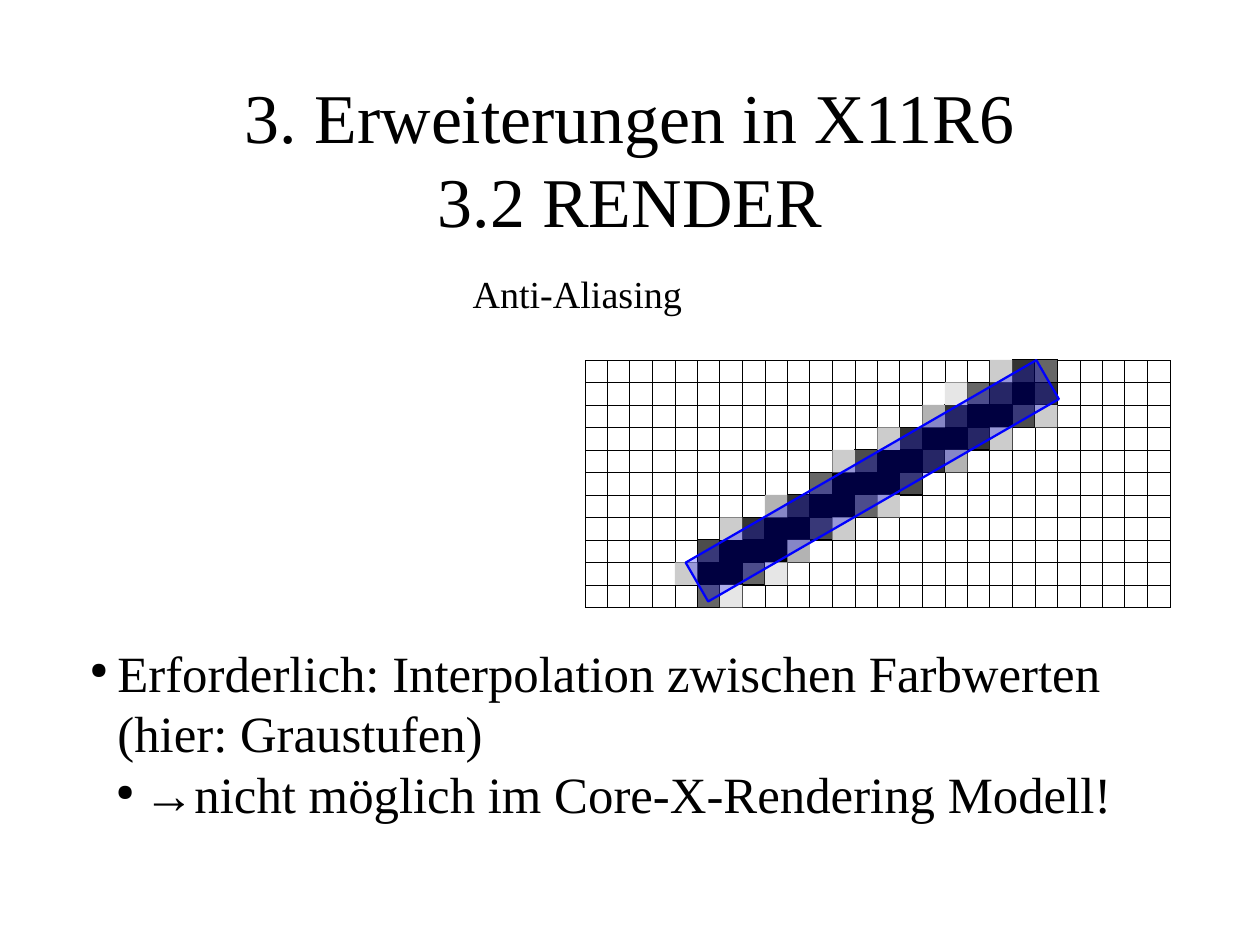
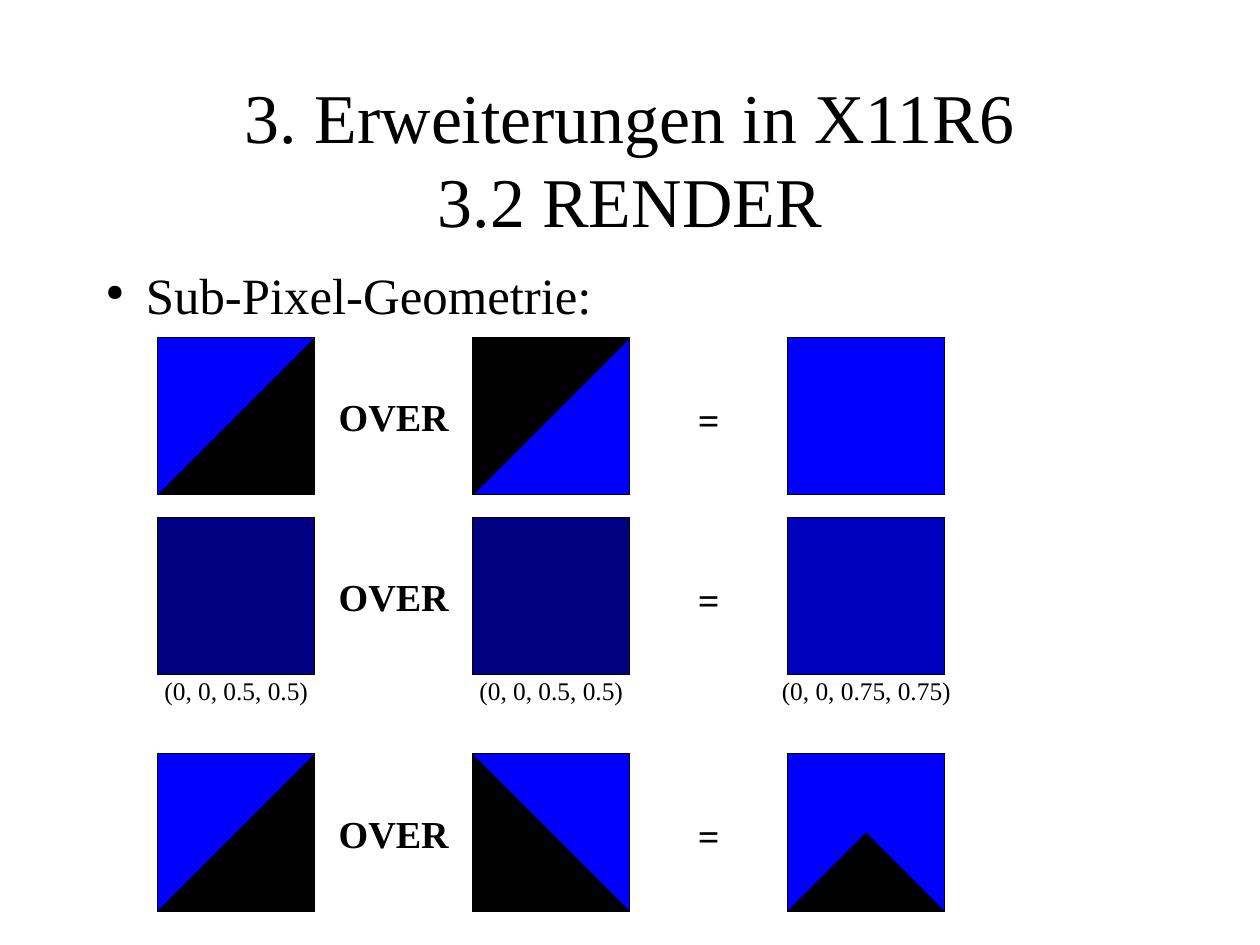
from dataclasses import dataclass

from lxml.etree import SubElement
from pptx import Presentation
from pptx.dml.color import RGBColor
from pptx.enum.shapes import MSO_CONNECTOR, MSO_SHAPE
from pptx.enum.text import MSO_ANCHOR, MSO_AUTO_SIZE, PP_ALIGN
from pptx.oxml.ns import qn
from pptx.util import Cm, Inches, Pt


@dataclass(frozen=True)
class Theme:
    """Colours, font, type sizes and line widths of the deck."""
    font: str = "Times New Roman"
    black: str = "000000"
    blue: str = "0000FF"
    title: int = 44
    body: int = 32
    label: int = 24
    caption: int = 16
    hairline: float = 0.01
    outline: float = 1.42
    bullet: int = 45


class Deck:
    """Draws on a grid of 56 columns by 42 rows."""
    COLS, ROWS = 56, 42
    CELL = Cm(0.5)

    def __init__(self, theme):
        """Open an empty presentation of the grid's size."""
        self.theme = theme
        self.prs = Presentation()
        self.prs.slide_width = self.at(self.COLS)
        self.prs.slide_height = self.at(self.ROWS)
        self.s = None

    def at(self, *cells):
        """Turn grid cells into lengths."""
        lengths = [round(c * self.CELL) for c in cells]
        return lengths if len(lengths) > 1 else lengths[0]

    def slide(self, *lines):
        """Add a slide with a centred title of several lines."""
        self.s = self.prs.slides.add_slide(self.prs.slide_layouts[5])
        sp = self.s.shapes.title
        sp.left, sp.top, sp.width, sp.height = self.at(4.1, 3.5, 47.8, 7)
        tf = self.frame(sp)
        tf.vertical_anchor = MSO_ANCHOR.MIDDLE
        p = tf.paragraphs[0]
        p.alignment = PP_ALIGN.CENTER
        for i, line in enumerate(lines):
            if i:
                p.add_line_break()
            self.run(p, line, self.theme.title)

    def frame(self, sp, wrap=True):
        """Give a text frame no margins and let it grow."""
        tf = sp.text_frame
        tf.margin_left = tf.margin_right = tf.margin_top = tf.margin_bottom = 0
        tf.word_wrap = wrap
        tf.auto_size = MSO_AUTO_SIZE.SHAPE_TO_FIT_TEXT
        return tf

    def run(self, p, text, size, bold=False):
        """Add one styled run."""
        r = p.add_run()
        r.text = text
        r.font.name, r.font.size, r.font.bold = self.theme.font, Pt(size), bold
        r.font.color.rgb = RGBColor.from_string(self.theme.black)

    def text(self, col, row, w, h, text, size, bold=False,
             align=PP_ALIGN.CENTER, wrap=True):
        """Add a single-paragraph label."""
        sp = self.s.shapes.add_textbox(*self.at(col, row, w, h))
        p = self.frame(sp, wrap).paragraphs[0]
        p.alignment = align
        self.run(p, text, size, bold)

    def bullets(self, col, row, w, h, items):
        """Add bulleted paragraphs from (text, margin, hang, space after)."""
        tf = self.frame(self.s.shapes.add_textbox(*self.at(col, row, w, h)))
        for i, (text, margin, hang, after) in enumerate(items):
            p = tf.add_paragraph() if i else tf.paragraphs[0]
            p.space_after = Pt(after)
            pPr = p._p.get_or_add_pPr()
            pPr.set("marL", str(Inches(margin)))
            pPr.set("indent", str(-Inches(hang)))
            clr = SubElement(pPr, qn("a:buClr"))
            SubElement(clr, qn("a:srgbClr"), val=self.theme.black)
            SubElement(pPr, qn("a:buSzPct"), val=str(self.theme.bullet * 1000))
            SubElement(pPr, qn("a:buChar"), char="●")
            self.run(p, text, self.theme.body)

    def paint(self, sp, fill, alpha=100, line=None, width=None):
        """Set fill, transparency and outline of a shape."""
        sp.shadow.inherit = False
        sp.fill.solid()
        sp.fill.fore_color.rgb = RGBColor.from_string(fill)
        if alpha < 100:
            clr = sp.element.spPr.find(qn("a:solidFill")).find(qn("a:srgbClr"))
            SubElement(clr, qn("a:alpha"), val=str(alpha * 1000))
        if line:
            sp.line.color.rgb = RGBColor.from_string(line)
            sp.line.width = Pt(width or self.theme.hairline)
        else:
            sp.line.fill.background()

    def rect(self, col, row, w, h, fill, rotation=0, **style):
        """Add a rectangle."""
        sp = self.s.shapes.add_shape(MSO_SHAPE.RECTANGLE,
                                     *self.at(col, row, w, h))
        sp.rotation = rotation
        self.paint(sp, fill, **style)

    def polygon(self, points, fill, **style):
        """Add a closed outline through grid points."""
        pts = [self.at(*pt) for pt in points]
        fb = self.s.shapes.build_freeform(*pts[0])
        fb.add_line_segments(pts[1:], close=True)
        self.paint(fb.convert_to_shape(), fill, **style)

    def line(self, *ends):
        """Add a black hairline."""
        ln = self.s.shapes.add_connector(MSO_CONNECTOR.STRAIGHT,
                                         *self.at(*ends))
        ln.line.color.rgb = RGBColor.from_string(self.theme.black)
        ln.line.width = Pt(self.theme.hairline)
        SubElement(ln.element.spPr, qn("a:effectLst"))

    def raster(self, left, top, right, bottom):
        """Rule a raster of unit cells."""
        for row in range(top, bottom + 1):
            self.line(left, row, right, row)
        for col in range(left, right + 1):
            self.line(col, top, col, bottom)

    def pixels(self, left, top, rows):
        """Fill raster cells by grey level, darkest first."""
        cells = [(GREYS[key], left + x, top + y) for y, row in enumerate(rows)
                 for x, key in enumerate(row) if key in GREYS]
        for grey, col, row in sorted(cells):
            dark = grey < GREYS["B"]
            self.rect(col, row, 1, 1, grey,
                      line=self.theme.black if dark else None)

    def tile(self, col, row, alpha=0, outline=()):
        """Add a black square with a blue cover or a blue part."""
        t = self.theme
        self.rect(col, row, SIDE, SIDE, t.black, line=t.black)
        if alpha:
            self.rect(col, row, SIDE, SIDE, t.blue, alpha=alpha, line=t.black)
        if outline:
            pts = [(col + x * SIDE, row + y * SIDE) for x, y in outline]
            self.polygon(pts, t.blue, line=t.black)

    def equation(self, row, tiles):
        """Add a row of three tiles joined by OVER and =."""
        for i, tile in enumerate(tiles):
            self.tile(SIDE * (2 * i + 1), row, **tile)
        for i, (sign, drop) in enumerate((("OVER", 2.5), ("=", 2.6))):
            self.text(SIDE * (2 * i + 2), row + drop, SIDE, 1.9, sign,
                      self.theme.label, bold=True)


TITLE = ("3. Erweiterungen in X11R6", "3.2 RENDER")
SIDE = 7
GREYS = {"0": "000000", "3": "333333", "4": "4C4C4C", "6": "666666",
         "B": "B3B3B3", "C": "CCCCCC", "E": "E6E6E6"}
STROKE = (
    "..............C36",
    "............E6303",
    "...........B3004C",
    ".........C3003C..",
    ".......C4003B....",
    "......60004......",
    "....B3006C.......",
    "..C3004C.........",
    ".4000B...........",
    "C006E............",
    ".6E..............",
)
UPPER_LEFT = {"outline": ((0, 1), (0, 0), (1, 0))}
LOWER_RIGHT = {"outline": ((0, 1), (1, 1), (1, 0))}
UPPER_RIGHT = {"outline": ((0, 0), (1, 1), (1, 0))}
NOTCHED = {"outline": ((0, 1), (0, 0), (1, 0), (1, 1), (0.5, 0.5))}
EQUATIONS = (
    (15, (UPPER_LEFT, LOWER_RIGHT, {"alpha": 100})),
    (23, ({"alpha": 50}, {"alpha": 50}, {"alpha": 75})),
    (33.5, (UPPER_LEFT, UPPER_RIGHT, NOTCHED)),
)
VALUES = ("(0, 0, 0.5, 0.5)", "(0, 0, 0.5, 0.5)", "(0, 0, 0.75, 0.75)")


def anti_aliasing(d):
    """Build the slide on anti-aliasing."""
    t = d.theme
    d.slide(*TITLE)
    d.raster(26, 16, 52, 27)
    d.pixels(30, 16, STROKE)
    d.rect(29.77, 20.37, 18, 2, t.blue, rotation=330, alpha=25,
           line=t.blue, width=t.outline)
    d.bullets(4, 28.5, 48, 7.5, (
        ("Erforderlich: Interpolation zwischen Farbwerten (hier: Graustufen)",
         0.24, 0.24, 0),
        ("→nicht möglich im Core-X-Rendering Modell!", 0.47, 0.24, 0)))
    d.text(21, 12, 9.35, 1.9, "Anti-Aliasing", t.label,
           align=PP_ALIGN.LEFT, wrap=False)


def sub_pixel_geometry(d):
    """Build the slide on sub-pixel geometry."""
    d.slide(*TITLE)
    d.bullets(4.1, 11.7, 47.8, 2.5,
              (("Sub-Pixel-Geometrie:", 0.47, 0.35, 14.2),))
    for row, tiles in EQUATIONS:
        d.equation(row, tiles)
    for i, value in enumerate(VALUES):
        d.text(SIDE * (2 * i + 1) - 0.5, 30, SIDE + 1, 1.3, value,
               d.theme.caption)


def main():
    """Build and save the deck."""
    d = Deck(Theme())
    anti_aliasing(d)
    sub_pixel_geometry(d)
    d.prs.save("out.pptx")


if __name__ == "__main__":
    main()
